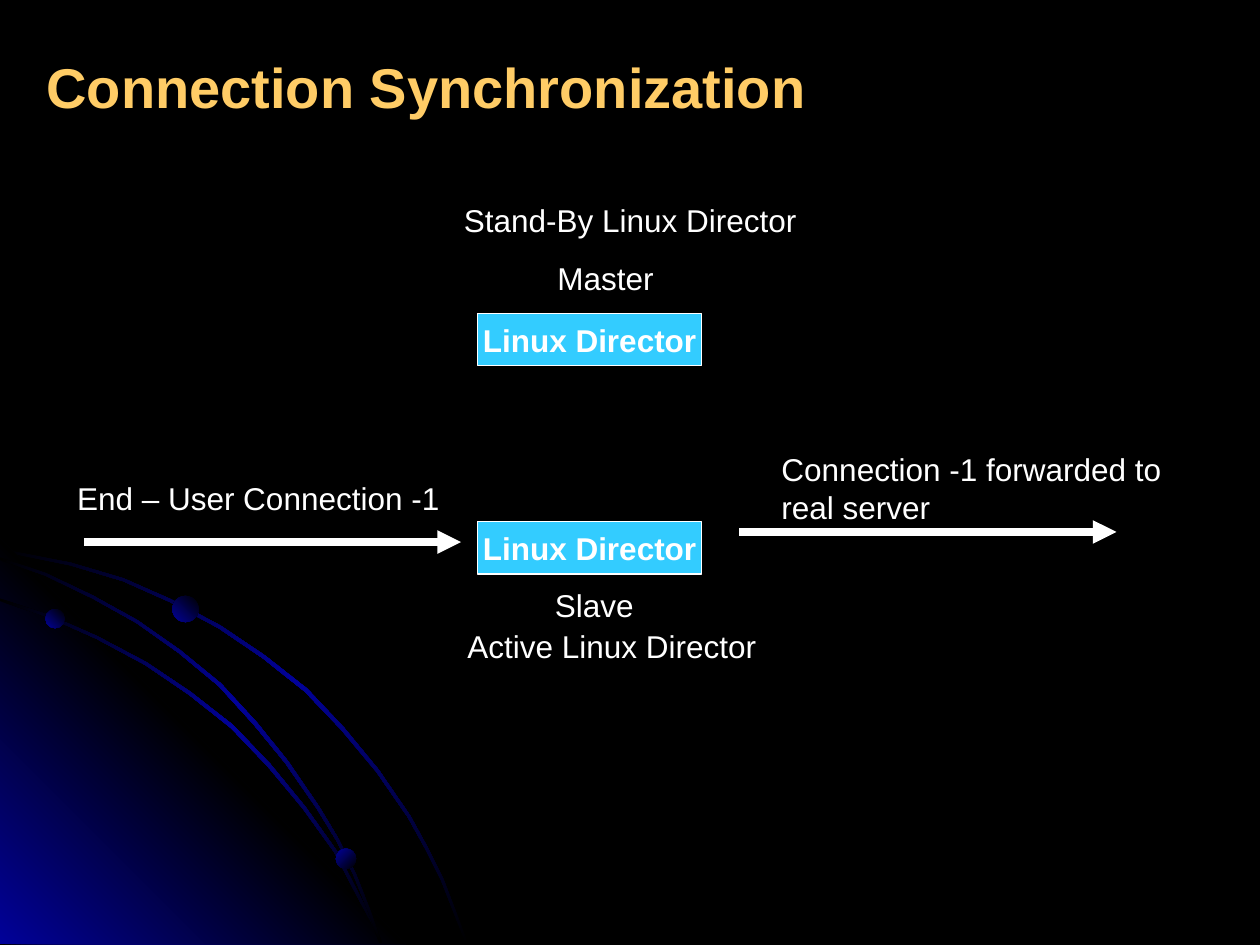
from copy import deepcopy

from lxml.etree import SubElement
from pptx import Presentation
from pptx.dml.color import RGBColor
from pptx.enum.shapes import MSO_CONNECTOR, MSO_SHAPE
from pptx.enum.text import MSO_ANCHOR, MSO_AUTO_SIZE, PP_ALIGN
from pptx.oxml.ns import qn
from pptx.util import Pt

COLORS = {
    "background": "000000",
    "glow": "010199",
    "title": "FFCC66",
    "text": "FFFFFF",
    "director": "33CCFF",
}
RGB = {name: RGBColor.from_string(value) for name, value in COLORS.items()}


def paint_gradient(shape, names, angle):
    shape.shadow.inherit = False
    shape.line.fill.background()
    shape.fill.gradient()
    shape.fill.gradient_angle = angle
    stop_list = shape._element.spPr.find(".//" + qn("a:gsLst"))
    for _ in names[2:]:
        stop_list.append(deepcopy(stop_list[0]))
    for index, (stop, name) in enumerate(zip(shape.fill.gradient_stops, names)):
        stop.position = index / (len(names) - 1)
        stop.color.rgb = RGB[name]


def write_lines(shape, lines, font_format, color, alignment):
    frame = shape.text_frame
    frame.text = "\n".join(lines)
    for paragraph in frame.paragraphs:
        paragraph.alignment = alignment
        for key, value in font_format.items():
            setattr(paragraph.font, key, value)
        paragraph.font.color.rgb = RGB[color]


presentation = Presentation()
presentation.slide_width, presentation.slide_height = Pt(720), Pt(540)
slide = presentation.slides.add_slide(presentation.slide_layouts[6])
slide.background.fill.solid()
slide.background.fill.fore_color.rgb = RGB["background"]
shapes = slide.shapes

outer_orbit = [
    (0, 315), (20, 319), (40, 323), (70, 332), (97, 344), (125, 359), (150, 376),
    (174, 395), (195, 417), (215, 441), (233, 467), (243, 485), (252, 503),
    (259, 521), (266, 539),
]
inner_orbit = [
    (0, 343.5), (28, 353), (55, 365), (83, 380), (108, 397), (132, 416), (153, 438),
    (173, 462), (191, 487), (205, 514), (212, 527), (217, 539),
]
middle_orbit = [
    (0, 320), (26, 329), (53, 342), (78, 356), (102, 373), (125, 392), (145, 414),
    (163, 436), (181, 462), (192, 480), (202, 500), (210, 520), (217, 539),
]
corner_glow = [(0, 307.5), (232, 539.5), (0, 539.5)]

for outline in (outer_orbit, corner_glow, inner_orbit, middle_orbit):
    is_orbit = outline is not corner_glow
    edge = list(outline)
    if is_orbit:
        last = len(outline) - 1
        far_edge = [
            (x + 1.5 * min(1, 2 * index / last), y - 1.5 * min(1, 2 - 2 * index / last))
            for index, (x, y) in enumerate(outline)
        ]
        edge += far_edge[::-1]
    builder = shapes.build_freeform(Pt(edge[0][0]), Pt(edge[0][1]))
    builder.add_line_segments([(Pt(x), Pt(y)) for x, y in edge[1:]], close=True)
    names = ["background", "glow", "background"] if is_orbit else ["glow", "background", "glow"]
    paint_gradient(builder.convert_to_shape(), names, 135 if is_orbit else 225)

for left, top, diameter, angle in ((26, 348, 11, 225), (192, 485, 11.5, 135), (98.5, 340.5, 15, 225)):
    planet = shapes.add_shape(MSO_SHAPE.OVAL, Pt(left), Pt(top), Pt(diameter), Pt(diameter))
    paint_gradient(planet, ["background", "glow"], angle)

label_format = {"name": "Arial", "size": Pt(18), "bold": False}
director_format = {**label_format, "bold": True}
title_format = {"name": "Arial", "size": Pt(32), "bold": True}

for top in (179, 298):
    director = shapes.add_shape(MSO_SHAPE.RECTANGLE, Pt(273), Pt(top), Pt(128), Pt(30))
    director.shadow.inherit = False
    director.fill.solid()
    director.fill.fore_color.rgb = RGB["director"]
    director.line.color.rgb = RGB["text"]
    director.line.width = Pt(0.75)
    director.text_frame.word_wrap = False
    director.text_frame.vertical_anchor = MSO_ANCHOR.MIDDLE
    write_lines(director, ["Linux Director"], director_format, "text", PP_ALIGN.CENTER)

for start, height in ((48, 309.75), (422.5, 304)):
    flow = shapes.add_connector(
        MSO_CONNECTOR.STRAIGHT, Pt(start), Pt(height), Pt(start + 215.5), Pt(height)
    )
    flow.line.color.rgb = RGB["text"]
    flow.line.width = Pt(4.5)
    SubElement(flow.line._get_or_add_ln(), qn("a:tailEnd"), type="triangle")
    SubElement(flow._element.spPr, qn("a:effectLst"))

labels = [
    (311.5, 144.25, 72, 29, ["Master"]),
    (310, 331.25, 62, 29, ["Slave"]),
    (258, 111.5, 207, 29, ["Stand-By Linux Director"]),
    (260, 354.5, 182, 29, ["Active Linux Director"]),
    (37, 270, 224, 29, ["End – User Connection -1"]),
    (439.5, 253.5, 238, 50.5, ["Connection -1 forwarded to", "real server"]),
]
for left, top, width, height, lines in labels:
    label = shapes.add_textbox(Pt(left), Pt(top), Pt(width), Pt(height))
    label.text_frame.word_wrap = True
    label.text_frame.auto_size = MSO_AUTO_SIZE.SHAPE_TO_FIT_TEXT
    write_lines(label, lines, label_format, "text", PP_ALIGN.LEFT)

title = shapes.add_textbox(Pt(19.5), Pt(26.25), Pt(470), Pt(46))
title.text_frame.word_wrap = True
write_lines(title, ["Connection Synchronization"], title_format, "title", PP_ALIGN.LEFT)

presentation.save("out.pptx")
